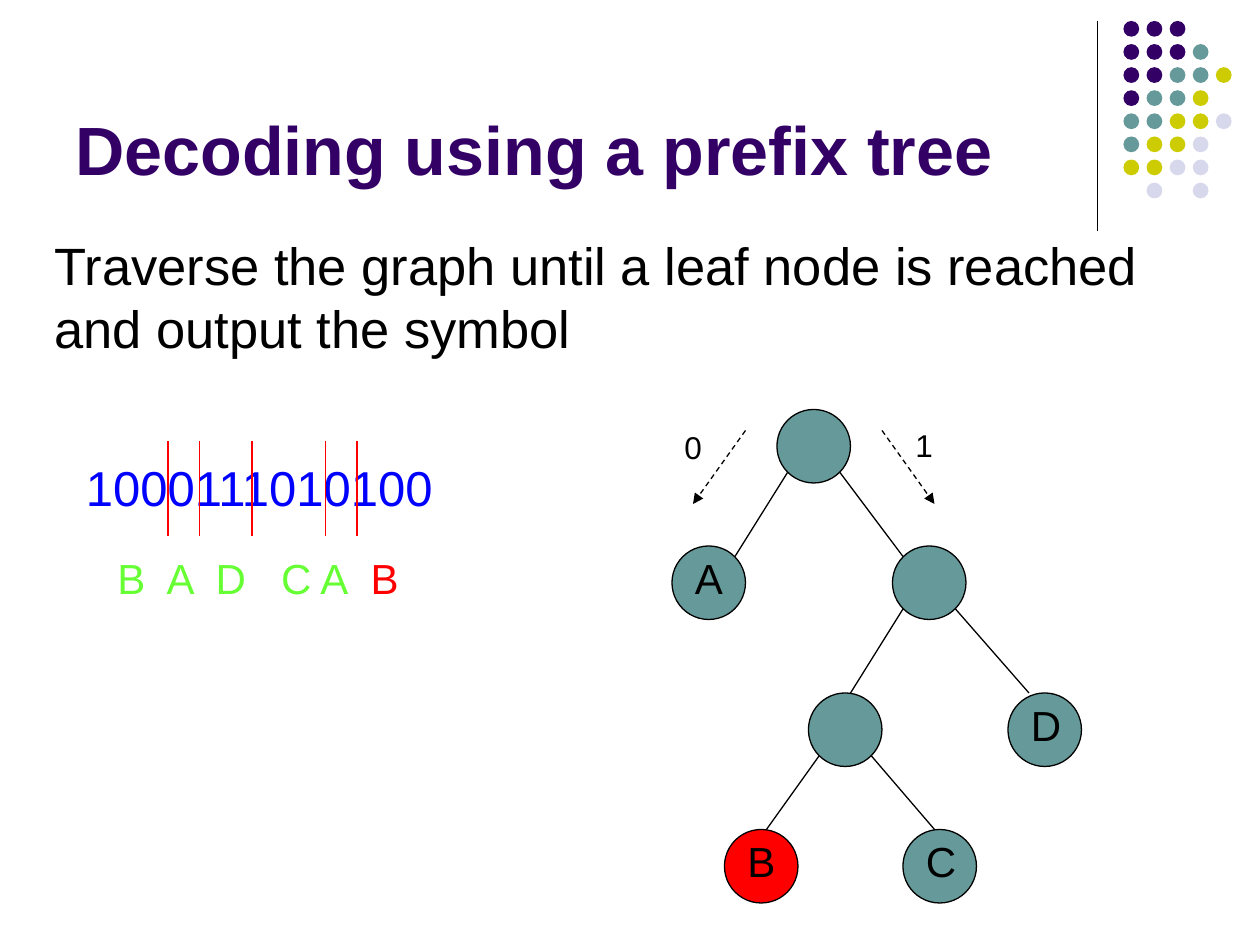
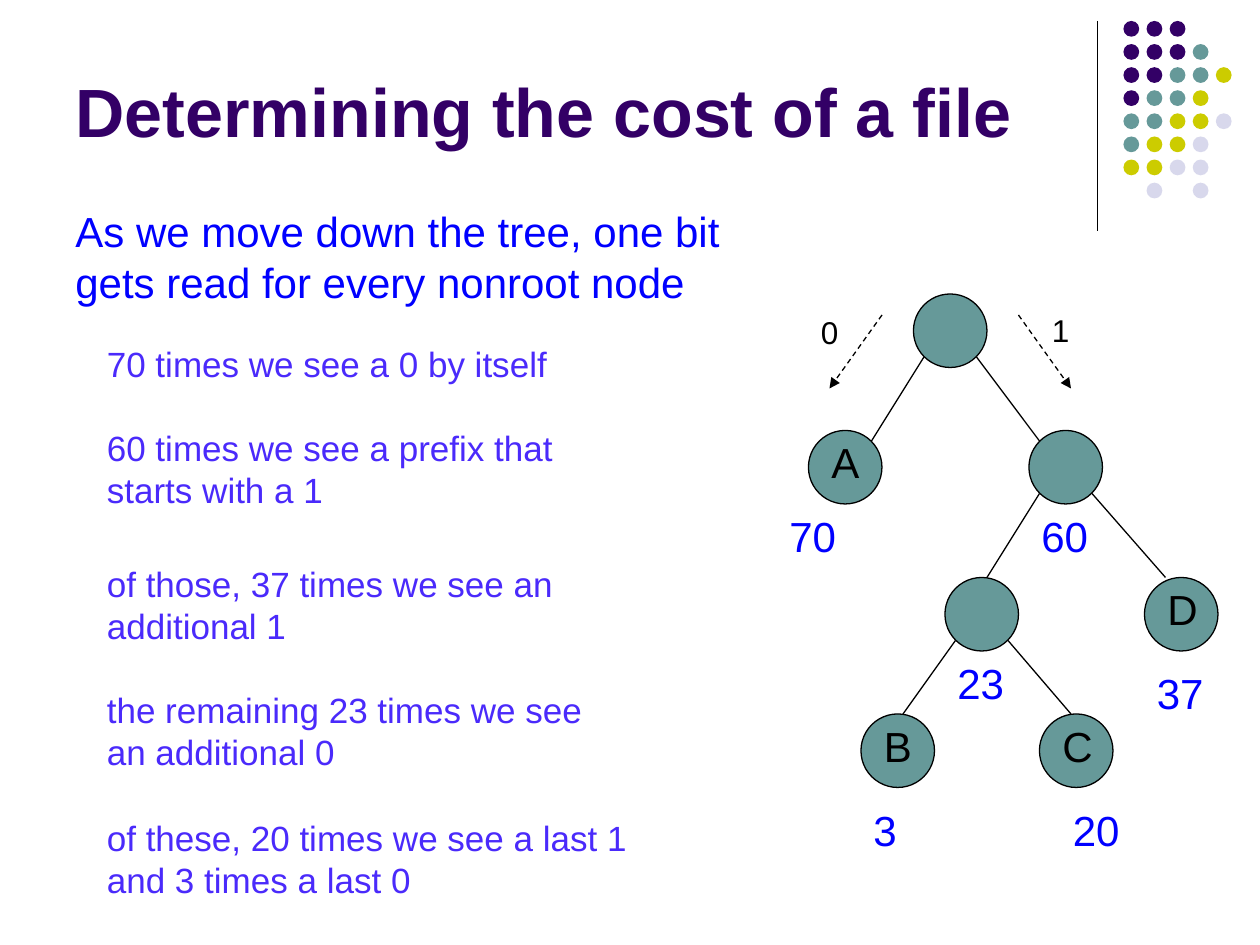
from dataclasses import dataclass

from lxml import etree
from pptx import Presentation
from pptx.dml.color import RGBColor
from pptx.enum import dml, shapes, text
from pptx.oxml import ns
from pptx.util import Inches, Pt

# Grid: 120 columns by 90 rows, each a twelfth of an inch
WIDTH, HEIGHT = Inches(10), Inches(7.5)
CELL = WIDTH / 120
FONT = "Arial"
COLORS = {
    "purple": "330066", "teal": "669999", "olive": "CCCC00", "mist": "D8D8EC",
    "black": "000000", "red": "FF0000", "blue": "0000FF", "green": "66FF33",
    "violet": "4A2AFB",
}


@dataclass(frozen=True)
class Label:
    words: str
    col: float
    row: float
    cols: float
    rows: float
    size: int = 24
    color: str = "black"


@dataclass(frozen=True)
class Node:
    col: float
    row: float
    letter: str = ""


@dataclass(frozen=True)
class Line:
    start: tuple[float, float]
    end: tuple[float, float]


# Corner ornament: one letter per dot
DOT_ROWS = ["PPP", "PPPT", "PPTTY", "PTTY", "TTYYL", "TYYL", "YYLL", " L L"]
DOT_COLORS = {"P": "purple", "T": "teal", "Y": "olive", "L": "mist"}
DOT_PITCH, DOT_SIZE = 2.2, 1.5

# Prefix tree, measured from the root's corner
NODE_SIZE = 7
NODES = [
    Node(0, 0), Node(-10, 13, "A"), Node(11, 13), Node(3, 27),
    Node(-5, 40, "B"), Node(12, 40, "C"), Node(22, 27, "D"),
]
BRANCHES = [
    Line((1, 6), (-4, 14)), Line((6, 6), (12, 14)), Line((12, 19), (7, 27)),
    Line((4, 33), (-1, 40)), Line((9, 33), (15, 40)), Line((17, 19), (24, 27)),
]
BIT_ARROWS = [Line((-3, 2), (-8, 9)), Line((10, 2), (15, 9))]
BITS = [("0", -10, 1.2), ("1", 12, 1)]

# Decoding slide
CUT_COLUMNS = [16, 19, 24, 31, 34]
SYMBOL_STOPS = [0.39, 0.78, 1.3, 1.61, 2.01]

# Cost slide
COUNTS = [("70", 74, 48), ("60", 98, 48), ("23", 90, 62),
          ("37", 109, 63), ("3", 82, 76), ("20", 101, 76)]
NOTES = [
    Label("70 times we see a 0 by itself", 9, 32, 48, 5.2, 20, "violet"),
    Label("60 times we see a prefix that starts with a 1", 9, 40, 48, 9.2, 20, "violet"),
    Label("of those, 37 times we see an additional 1", 9, 53, 48, 9.2, 20, "violet"),
    Label("the remaining 23 times we see an additional 0", 9, 65, 48, 9.2, 20, "violet"),
    Label("of these, 20 times we see a last 1 and 3 times a last 0",
          9, 77.2, 55, 9.2, 20, "violet"),
]


def grid(*cells: float) -> list[int]:
    return [round(cell * CELL) for cell in cells]


def rgb(name: str) -> RGBColor:
    return RGBColor.from_string(COLORS[name])


def set_all(target, values: dict) -> None:
    for name, value in values.items():
        setattr(target, name, value)


def add_span(para, words: str, size: int, color: str, bold: bool = False):
    span = para.add_run()
    span.text = words
    set_all(span.font, {"name": FONT, "size": Pt(size), "bold": bold})
    span.font.color.rgb = rgb(color)


def add_label(page, label: Label, bold: bool = False,
              anchor=text.MSO_ANCHOR.TOP):
    box = page.shapes.add_textbox(
        *grid(label.col, label.row, label.cols, label.rows))
    set_all(box.text_frame, {"word_wrap": True, "vertical_anchor": anchor})
    para = box.text_frame.paragraphs[0]
    add_span(para, label.words, label.size, label.color, bold)
    return para


def add_circle(page, col: float, row: float, size: float, fill: str,
               outlined: bool = False) -> None:
    circle = page.shapes.add_shape(
        shapes.MSO_SHAPE.OVAL, *grid(col, row, size, size))
    circle.shadow.inherit = False
    circle.fill.solid()
    circle.fill.fore_color.rgb = rgb(fill)
    if outlined:
        circle.line.color.rgb = rgb("black")
        circle.line.width = Pt(0.75)
    else:
        circle.line.fill.background()


def add_line(page, line: Line, color: str = "black", arrow: bool = False,
             origin: tuple[float, float] = (0, 0)) -> None:
    left, top = origin
    ends = grid(left + line.start[0], top + line.start[1],
                left + line.end[0], top + line.end[1])
    connector = page.shapes.add_connector(shapes.MSO_CONNECTOR.STRAIGHT, *ends)
    connector.line.color.rgb = rgb(color)
    connector.line.width = Pt(0.75)
    if arrow:
        connector.line.dash_style = dml.MSO_LINE.DASH
        outline = connector.line._get_or_add_ln()
        etree.SubElement(outline, ns.qn("a:tailEnd"), type="triangle")
    etree.SubElement(connector._element.spPr, ns.qn("a:effectLst"))


def add_page(deck, title: Label):
    page = deck.slides.add_slide(deck.slide_layouts[6])
    add_line(page, Line((104.5, 2), (104.5, 22)))
    for row, dots in enumerate(DOT_ROWS):
        for col, dot in enumerate(dots):
            if dot in DOT_COLORS:
                add_circle(page, 107 + col * DOT_PITCH, 2 + row * DOT_PITCH,
                           DOT_SIZE, DOT_COLORS[dot])
    add_label(page, title, bold=True, anchor=text.MSO_ANCHOR.BOTTOM)
    return page


def add_tree(page, origin: tuple[float, float], reached: str = "") -> None:
    left, top = origin
    for node in NODES:
        fill = "red" if node.letter and node.letter == reached else "teal"
        col, row = left + node.col, top + node.row
        add_circle(page, col, row, NODE_SIZE, fill, outlined=True)
        if node.letter:
            add_label(page, Label(node.letter, col + 1, row, 6, 6))
    for branch in BRANCHES:
        add_line(page, branch, origin=origin)
    for arrow in BIT_ARROWS:
        add_line(page, arrow, arrow=True, origin=origin)
    for bit, col, row in BITS:
        add_label(page, Label(bit, left + col, top + row, 5, 4.8, 18))


def add_decoding_page(deck) -> None:
    page = add_page(deck, Label("Decoding using a prefix tree",
                                6, 1.6, 99, 17, 39, "purple"))
    add_label(page, Label(
        "Traverse the graph until a leaf node is reached and output the symbol",
        4, 21.6, 110, 13.4, 30))
    add_tree(page, (74, 39), reached="B")

    # Bit string, cut after each decoded symbol
    add_label(page, Label("1000111010100", 7, 43, 38, 6.8, 28, "blue"))
    for col in CUT_COLUMNS:
        add_line(page, Line((col, 42), (col, 51)), "red")

    # Decoded symbols, aligned by tab stops
    para = add_label(page, Label("B\tA\tD\tC\tA", 10, 52, 38, 6, 24, "green"))
    add_span(para, "\tB", 24, "red")
    stops = etree.SubElement(para._p.get_or_add_pPr(), ns.qn("a:tabLst"))
    for stop in SYMBOL_STOPS:
        etree.SubElement(stops, ns.qn("a:tab"), pos=str(Inches(stop)), algn="l")


def add_cost_page(deck) -> None:
    page = add_page(deck, Label("Determining the cost of a file",
                                6, 4, 99, 11, 39, "purple"))
    add_tree(page, (87, 28))
    for count, col, row in COUNTS:
        add_label(page, Label(count, col, row, 10, 6, 24, "blue"))
    add_label(page, Label(
        "As we move down the tree, one bit gets read for every nonroot node",
        6, 19, 69, 10.8, 24, "blue"))
    for note in NOTES:
        add_label(page, note)


def main() -> None:
    deck = Presentation()
    set_all(deck, {"slide_width": WIDTH, "slide_height": HEIGHT})
    add_decoding_page(deck)
    add_cost_page(deck)
    deck.save("out.pptx")


if __name__ == "__main__":
    main()
